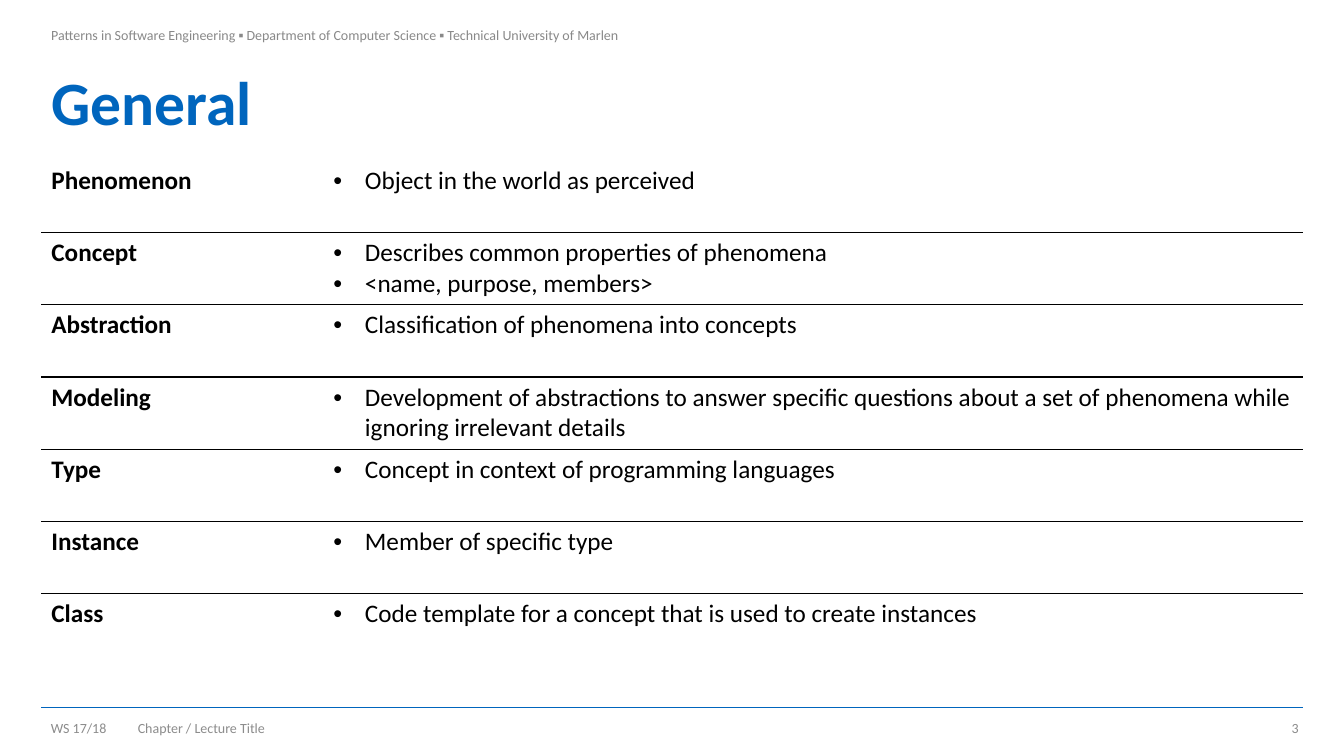
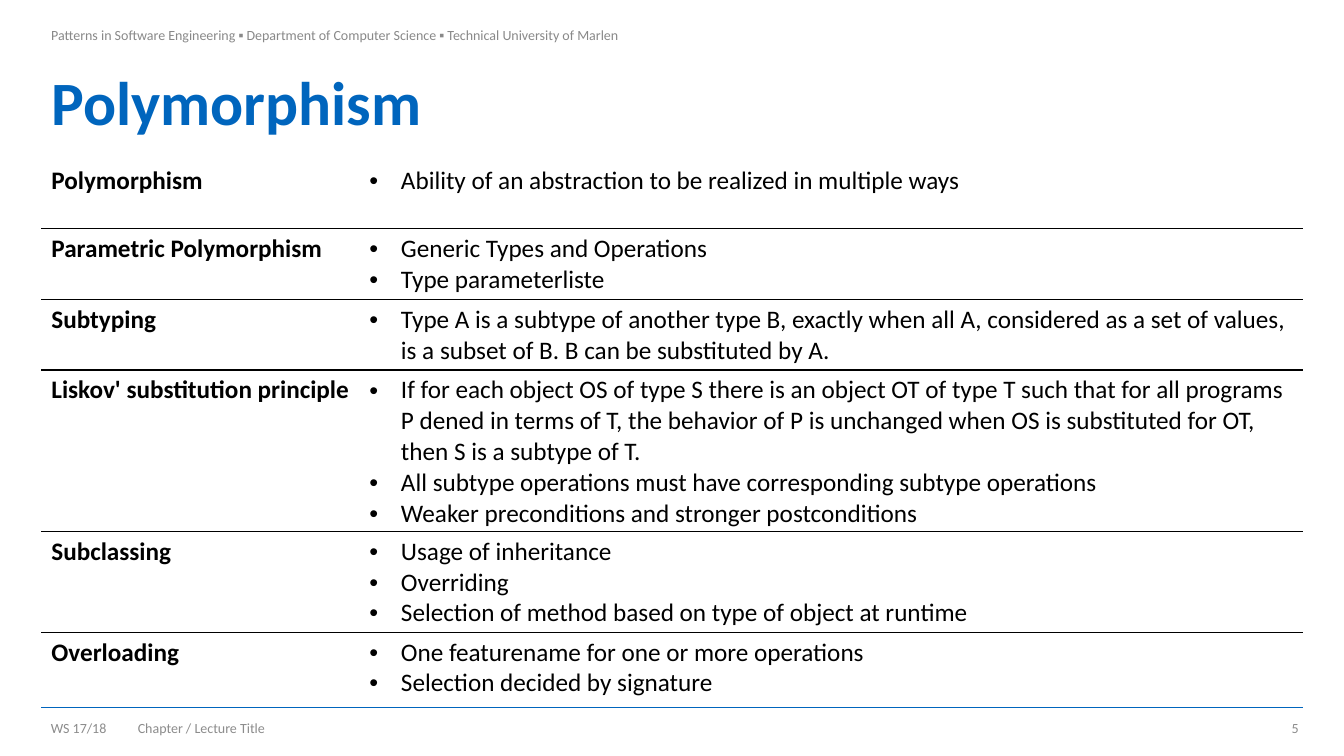
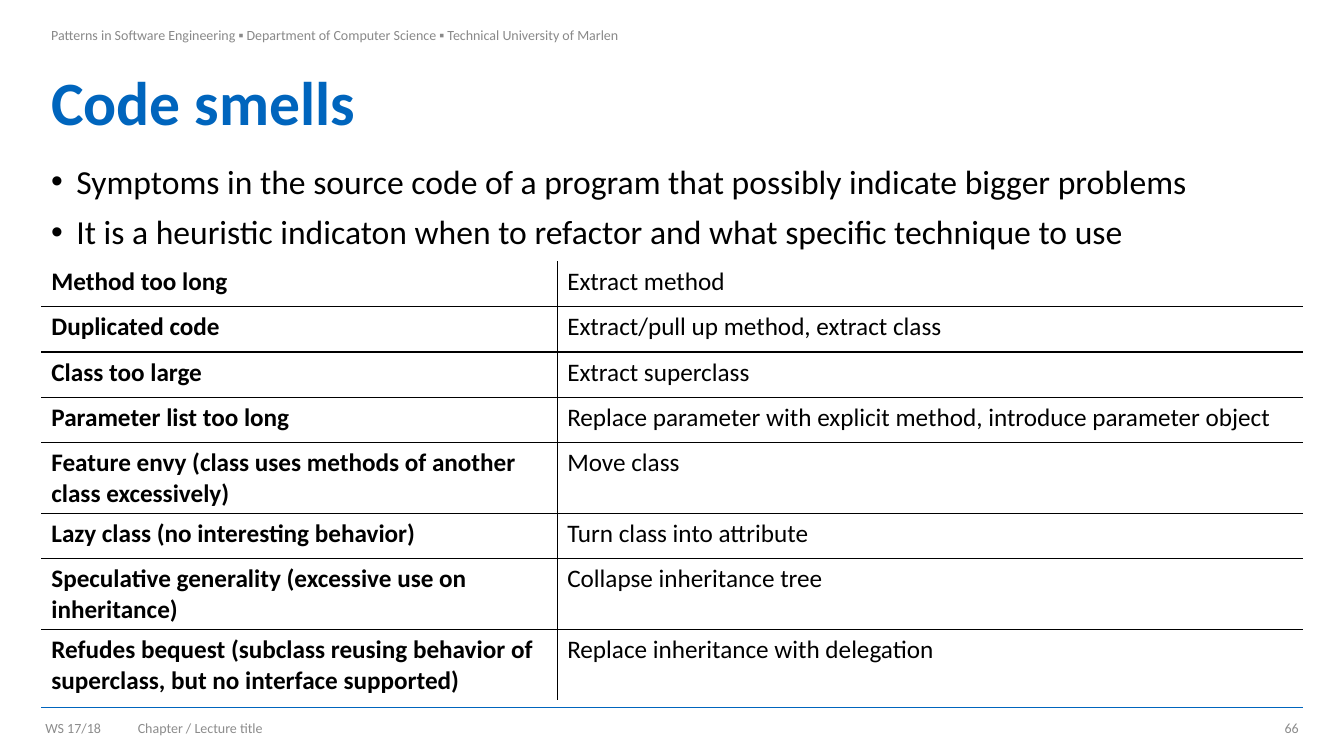
from lxml import etree
from pptx import Presentation
from pptx.dml.color import RGBColor
from pptx.enum.shapes import MSO_CONNECTOR
from pptx.enum.text import MSO_ANCHOR, PP_ALIGN
from pptx.oxml.ns import qn
from pptx.util import Pt

STRAIGHT = MSO_CONNECTOR.STRAIGHT
TOP, MIDDLE = MSO_ANCHOR.TOP, MSO_ANCHOR.MIDDLE
LEFT, CENTER, RIGHT = PP_ALIGN.LEFT, PP_ALIGN.CENTER, PP_ALIGN.RIGHT

BLUE = RGBColor(0x00, 0x65, 0xBD)
BLACK = RGBColor(0x00, 0x00, 0x00)
HEADER_GRAY = RGBColor(0x89, 0x89, 0x89)
FOOTER_GRAY = RGBColor(0x8C, 0x8C, 0x8C)

FONT = "Calibri"
PLAIN_TABLE_STYLE = "{2D5ABB26-0587-4C30-8999-92F81FD0307C}"
MARGIN_LEFT, CONTENT_WIDTH = 29.5, 901.5
CONTENT_TOP = 114.5
FOOTER_TOP, FOOTER_HEIGHT = 511.2, 16.8
DEFAULT_INSETS = (7.2, 3.6, 7.2, 3.6)
FOOTER_INSETS = (2.9, 3.6, 2.9, 3.6)

HEADER = ("Patterns in Software Engineering ▪ Department of Computer Science"
          " ▪ Technical University of Marlen")
TERM = "WS 17/18"

SLIDES = [
    {
        "title": "General",
        "number": "3",
        "chapter": "Chapter / Lecture Title",
        "term_alignment": CENTER,
        "points": [],
        "table_top": CONTENT_TOP,
        "term_width": 201.5,
        "bulleted": True,
        "divider": False,
        "rows": [
            (51.6, "Phenomenon", ["Object in the world as perceived"]),
            (51.6, "Concept", ["Describes common properties of phenomena",
                               "<name, purpose, members>"]),
            (51.6, "Abstraction", ["Classification of phenomena into concepts"]),
            (51.6, "Modeling", ["Development of abstractions to answer specific questions "
                                "about a set of phenomena while ignoring irrelevant details"]),
            (51.6, "Type", ["Concept in context of programming languages"]),
            (51.6, "Instance", ["Member of specific type"]),
            (51.6, "Class", ["Code template for a concept that is used to create instances"]),
        ],
    },
    {
        "title": "Polymorphism",
        "number": "5",
        "chapter": "Chapter / Lecture Title",
        "term_alignment": CENTER,
        "points": [],
        "table_top": CONTENT_TOP,
        "term_width": 227.2,
        "bulleted": True,
        "divider": False,
        "rows": [
            (48.9, "Polymorphism",
             ["Ability of an abstraction to be realized in multiple ways"]),
            (48.9, "Parametric Polymorphism",
             ["Generic Types and Operations", "Type parameterliste"]),
            (48.9, "Subtyping",
             ["Type A is a subtype of another type B, exactly when all A, considered as "
              "a set of values, is a subset of B. B can be substituted by A."]),
            (109.2, "Liskov' substitution principle",
             ["If for each object OS of type S there is an object OT of type T such that "
              "for all programs P dened in terms of T, the behavior of P is unchanged "
              "when OS is substituted for OT, then S is a subtype of T.",
              "All subtype operations must have corresponding subtype operations",
              "Weaker preconditions and stronger postconditions"]),
            (68.5, "Subclassing",
             ["Usage of inheritance", "Overriding",
              "Selection of method based on type of object at runtime"]),
            (48.9, "Overloading",
             ["One featurename for one or more operations",
              "Selection decided by signature"]),
        ],
    },
    {
        "title": "Code smells",
        "number": "66",
        "chapter": "Chapter / Lecture title",
        "term_alignment": LEFT,
        "points": [
            "Symptoms in the source code of a program that possibly indicate bigger problems",
            "It is a heuristic indicaton when to refactor and what specific technique to use",
        ],
        "table_top": 186.7,
        "term_width": 368.5,
        "bulleted": False,
        "divider": True,
        "rows": [
            (32.4, "Method too long", ["Extract method"]),
            (32.4, "Duplicated code", ["Extract/pull up method, extract class"]),
            (32.4, "Class too large", ["Extract superclass"]),
            (32.4, "Parameter list too long",
             ["Replace parameter with explicit method, introduce parameter object"]),
            (47.5, "Feature envy (class uses methods of another class excessively)",
             ["Move class"]),
            (32.4, "Lazy class (no interesting behavior)", ["Turn class into attribute"]),
            (47.5, "Speculative generality (excessive use on inheritance)",
             ["Collapse inheritance tree"]),
            (47.5, "Refudes bequest (subclass reusing behavior of superclass, "
                   "but no interface supported)",
             ["Replace inheritance with delegation"]),
        ],
    },
]


def add_bullet(paragraph, indent):
    properties = paragraph._p.get_or_add_pPr()
    properties.set("marL", str(Pt(indent)))
    properties.set("indent", str(-Pt(indent)))
    etree.SubElement(properties, qn("a:buFont")).set("typeface", "Arial")
    etree.SubElement(properties, qn("a:buChar")).set("char", "•")


def write(frame, lines, size, color, bold=False, alignment=LEFT,
          bullet_indent=0, line_spacing=None, space_before=None):
    for index, line in enumerate(lines):
        paragraph = frame.add_paragraph() if index else frame.paragraphs[0]
        paragraph.text = line
        paragraph.alignment = alignment
        if bullet_indent:
            add_bullet(paragraph, bullet_indent)
        if line_spacing:
            paragraph.line_spacing = line_spacing
        if space_before:
            paragraph.space_before = Pt(space_before)
        font = paragraph.font
        font.name, font.size, font.bold = FONT, Pt(size), bold
        font.color.rgb = color


def add_text(slide, box, lines, size, color, anchor=MIDDLE, insets=DEFAULT_INSETS, **style):
    frame = slide.shapes.add_textbox(*map(Pt, box)).text_frame
    frame.word_wrap = True
    frame.vertical_anchor = anchor
    (frame.margin_left, frame.margin_top,
     frame.margin_right, frame.margin_bottom) = map(Pt, insets)
    write(frame, lines, size, color, **style)


def add_border(cell, side):
    line = etree.SubElement(cell._tc.get_or_add_tcPr(), qn(f"a:{side}"), w=str(Pt(1)))
    fill = etree.SubElement(line, qn("a:solidFill"))
    etree.SubElement(fill, qn("a:srgbClr"), val=str(BLACK))


def add_frame(slide, content):
    rule = slide.shapes.add_connector(
        STRAIGHT, Pt(MARGIN_LEFT), Pt(505.5), Pt(MARGIN_LEFT + CONTENT_WIDTH), Pt(505.5))
    rule.line.color.rgb = BLUE
    rule.line.width = Pt(0.5)
    etree.SubElement(rule._element.spPr, qn("a:effectLst"))
    add_text(slide, (MARGIN_LEFT, 0, 451.5, 49), [HEADER], 10, HEADER_GRAY,
             anchor=TOP, insets=(7.2, 18.7, 7.2, 3.6))
    add_text(slide, (MARGIN_LEFT, 49, CONTENT_WIDTH, 53.3), [content["title"]], 44, BLUE,
             bold=True, line_spacing=0.9)
    footers = [
        (MARGIN_LEFT, 53.3, TERM, content["term_alignment"], FOOTER_INSETS),
        (888, 42.5, content["number"], RIGHT, FOOTER_INSETS),
        (91.4, 620, content["chapter"], LEFT, DEFAULT_INSETS),
    ]
    for left, width, text, alignment, insets in footers:
        add_text(slide, (left, FOOTER_TOP, width, FOOTER_HEIGHT), [text], 10, FOOTER_GRAY,
                 alignment=alignment, insets=insets)


def add_definitions(slide, content):
    rows = content["rows"]
    height = sum(row[0] for row in rows)
    table = slide.shapes.add_table(
        len(rows), 2, Pt(MARGIN_LEFT), Pt(content["table_top"]),
        Pt(CONTENT_WIDTH), Pt(height)).table
    table._tbl.tblPr.find(qn("a:tableStyleId")).text = PLAIN_TABLE_STYLE
    table.first_row = table.horz_banding = False
    table.columns[0].width = Pt(content["term_width"])
    table.columns[1].width = Pt(CONTENT_WIDTH - content["term_width"])
    indent = 22.5 if content["bulleted"] else 0
    for index, (row_height, term, meanings) in enumerate(rows):
        table.rows[index].height = Pt(row_height)
        term_cell, meaning_cell = table.cell(index, 0), table.cell(index, 1)
        write(term_cell.text_frame, [term], 18, BLACK, bold=True)
        write(meaning_cell.text_frame, meanings, 18, BLACK, bullet_indent=indent)
        for cell, inner_side in ((term_cell, "lnR"), (meaning_cell, "lnL")):
            if content["divider"]:
                add_border(cell, inner_side)
            if index > 0:
                add_border(cell, "lnT")
            if index < len(rows) - 1:
                add_border(cell, "lnB")
            cell.fill.background()


def main():
    presentation = Presentation()
    presentation.slide_width, presentation.slide_height = Pt(960), Pt(540)
    for content in SLIDES:
        slide = presentation.slides.add_slide(presentation.slide_layouts[6])
        add_frame(slide, content)
        if content["points"]:
            add_text(slide, (MARGIN_LEFT, CONTENT_TOP, CONTENT_WIDTH, 349.2),
                     content["points"], 24, BLACK, anchor=TOP,
                     bullet_indent=18, line_spacing=0.9, space_before=10)
        add_definitions(slide, content)
    presentation.save("out.pptx")


if __name__ == "__main__":
    main()
